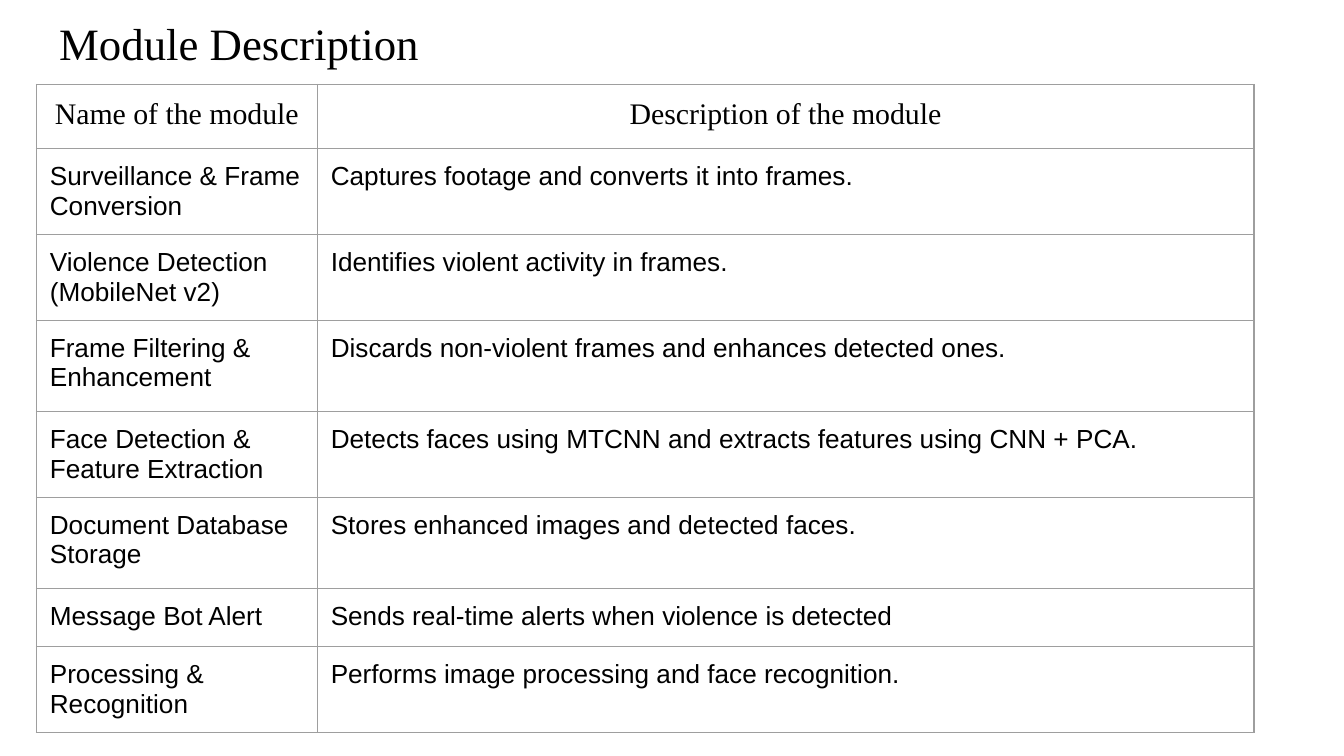
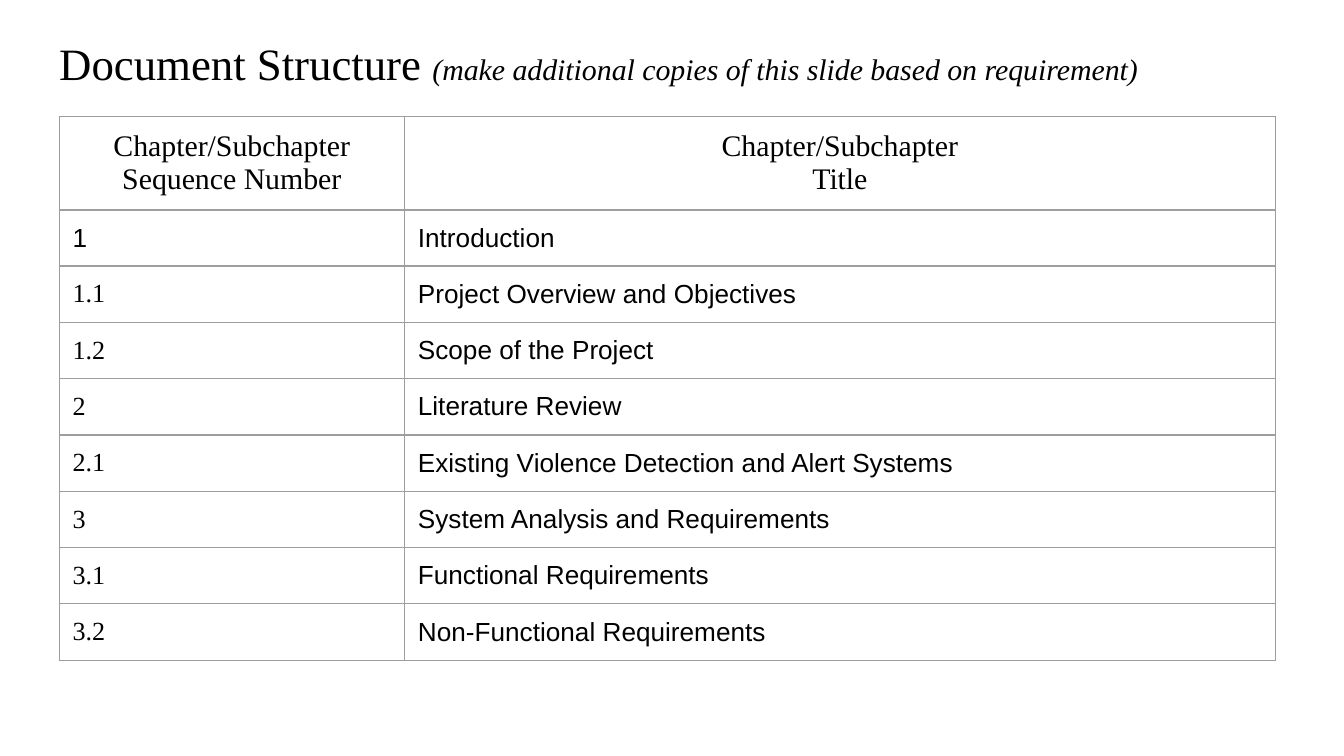
from lxml.etree import SubElement as Sub
from pptx import Presentation
from pptx.dml.color import RGBColor as RGB
from pptx.enum.text import MSO_ANCHOR as Anchor, MSO_AUTO_SIZE as Fit, PP_ALIGN as Align
from pptx.oxml.ns import qn
from pptx.util import Pt

BLACK = RGB(0x00, 0x00, 0x00)
GREY = RGB(0x9E, 0x9E, 0x9E)
SERIF = "Times New Roman"
SANS = "Arial"
INSET = Pt(7.2)
THIN = Pt(3.6)

MODULES = [
    ("Surveillance & Frame Conversion", "Captures footage and converts it into frames."),
    ("Violence Detection (MobileNet v2)", "Identifies violent activity in frames."),
    ("Frame Filtering & Enhancement", "Discards non-violent frames and enhances detected ones."),
    ("Face Detection & Feature Extraction",
     "Detects faces using MTCNN and extracts features using CNN + PCA."),
    ("Document Database Storage", "Stores enhanced images and detected faces."),
    ("Message Bot Alert", "Sends real-time alerts when violence is detected"),
    ("Processing & Recognition", "Performs image processing and face recognition."),
]
CHAPTERS = [
    ("1", "Introduction"),
    ("1.1", "Project Overview and Objectives"),
    ("1.2", "Scope of the Project"),
    ("2", "Literature Review"),
    ("2.1", "Existing Violence Detection and Alert Systems"),
    ("3", "System Analysis and Requirements"),
    ("3.1", "Functional Requirements"),
    ("3.2", "Non-Functional Requirements"),
]


class Deck:
    def __init__(self):
        self.prs = Presentation()
        self.prs.slide_width = Pt(720)
        self.prs.slide_height = Pt(405)
        self.slide = None

    def run(self, para, text, size, face, slant=False):
        run = para.add_run()
        run.text = text
        font = run.font
        font.size = Pt(size)
        font.name = face
        font.italic = slant
        font.color.rgb = BLACK

    def title(self, top, text, note=None):
        self.slide = self.prs.slides.add_slide(self.prs.slide_layouts[5])
        box = self.slide.shapes.title
        box.left, box.top, box.width, box.height = Pt(24.5), Pt(top), Pt(671), Pt(45.4)
        frame = box.text_frame
        frame.auto_size = Fit.NONE
        frame.word_wrap = True
        frame.vertical_anchor = Anchor.MIDDLE
        frame.margin_left = frame.margin_right = INSET
        frame.margin_top = frame.margin_bottom = INSET
        para = frame.paragraphs[0]
        para.alignment = Align.LEFT
        self.run(para, text, 24, SERIF)
        if note:
            self.run(para, note, 16, SERIF, True)

    def border(self, cell):
        props = cell._tc.get_or_add_tcPr()
        for side in ("a:lnL", "a:lnR", "a:lnT", "a:lnB"):
            line = Sub(props, qn(side), w=str(Pt(0.75)))
            fill = Sub(line, qn("a:solidFill"))
            Sub(fill, qn("a:srgbClr"), val=str(GREY))

    def cell(self, cell, text, size, face, align):
        self.border(cell)
        cell.fill.background()
        cell.margin_left = cell.margin_right = INSET
        cell.margin_top = cell.margin_bottom = INSET
        frame = cell.text_frame
        for i, line in enumerate(text.split("\n")):
            para = frame.add_paragraph() if i else frame.paragraphs[0]
            para.alignment = align
            self.run(para, line, size, face)

    def table(self, left, top, widths, heights, head, body, faces):
        shape = self.slide.shapes.add_table(
            len(heights), len(widths), Pt(left), Pt(top), Pt(sum(widths)), Pt(sum(heights)))
        grid = shape.table
        grid.first_row = grid.horz_banding = False
        for col, width in zip(grid.columns, widths):
            col.width = Pt(width)
        for row, height in zip(grid.rows, heights):
            row.height = Pt(height)
        for c, text in enumerate(head):
            self.cell(grid.cell(0, c), text, 16, SERIF, Align.CENTER)
        for r, texts in enumerate(body, 1):
            for c, text in enumerate(texts):
                self.cell(grid.cell(r, c), text, 14, faces[c], Align.LEFT)
        return grid


def main():
    deck = Deck()
    deck.title(0, "Module Description")
    deck.table(19.5, 45.2, (150.5, 501.8),
               (34.5, 43.2, 43.2, 49, 43.2, 49, 31, 43.2),
               ("Name of the module", "Description of the module"),
               MODULES, (SANS, SANS))

    deck.title(10.8, "Document Structure ",
               "(make additional copies of this slide based on requirement)")
    grid = deck.table(31.7, 62.5, (185, 466.6), [30.1] * (len(CHAPTERS) + 1),
                      ("Chapter/Subchapter\nSequence Number", "Chapter/Subchapter\nTitle"),
                      CHAPTERS, (SERIF, SANS))
    for cell in grid.rows[1].cells:
        cell.vertical_anchor = Anchor.MIDDLE
        cell.margin_top = cell.margin_bottom = THIN
    grid.cell(1, 0).text_frame.paragraphs[0].runs[0].font.name = SANS
    deck.prs.save("out.pptx")


if __name__ == "__main__":
    main()
